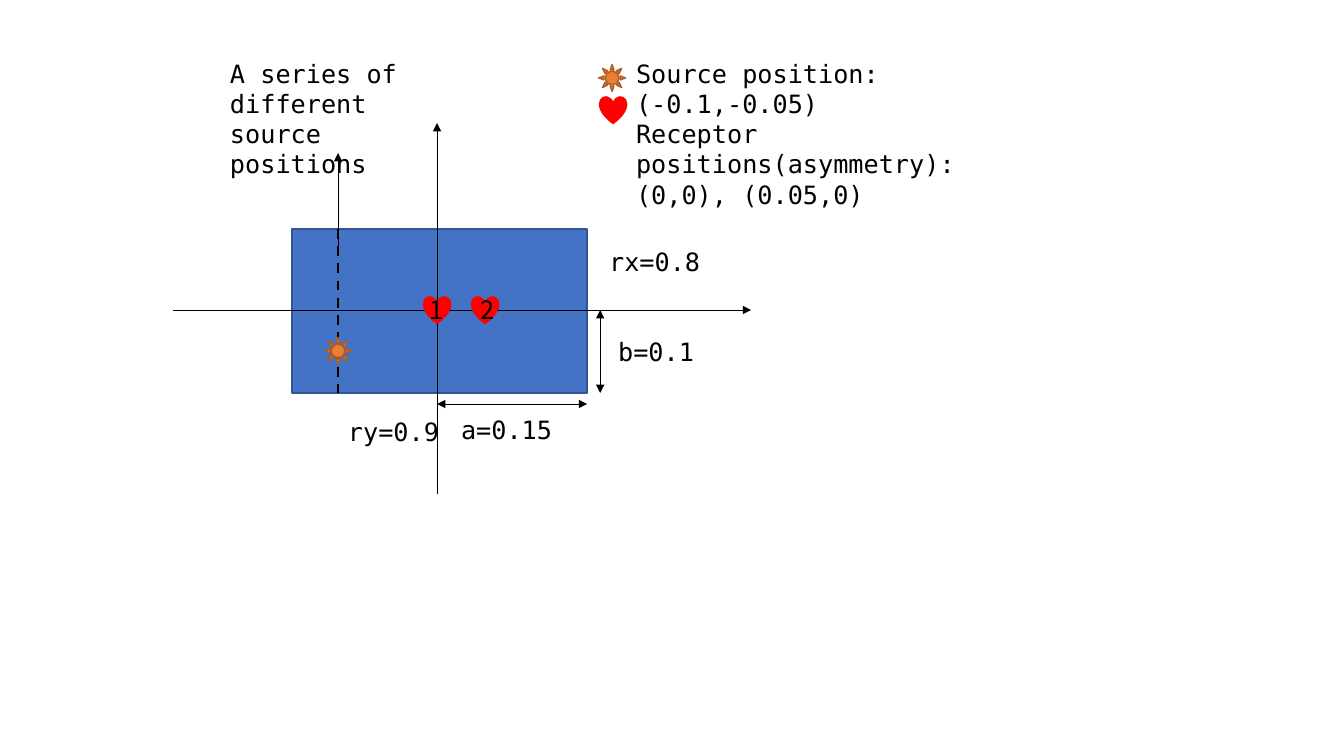
import pptx
import pptx.util
import pptx.dml.color
import pptx.enum.dml
import pptx.enum.shapes
import pptx.enum.text
import pptx.oxml.ns
import lxml.etree

PIXEL = 914400 / 100.8
COLORS = {"field": "4472C4", "field edge": "325491", "heart": "FF0000",
          "sun": "ED7D31", "sun edge": "AF5C24", "ink": "000000"}
MONO, CJK = "DejaVu Sans Mono", "Noto Sans CJK SC"
SHAPES = pptx.enum.shapes.MSO_SHAPE
MARKER = 27

# Field geometry: left, top, width, height, and the axes through its middle
FIELD = (292, 229, 295, 164)
RIGHT, BOTTOM = FIELD[0] + FIELD[2], FIELD[1] + FIELD[3]
AXIS_X, AXIS_Y = 437, 310
SOURCE_X = 338

# Lines: start, end, points wide, dashed, arrowhead ends
AXES = [
    ((173, AXIS_Y), (751, AXIS_Y), 0.5, False, ["tailEnd"]),
    ((AXIS_X, 494), (AXIS_X, 123), 0.5, False, ["tailEnd"]),
]
MEASURES = [
    ((AXIS_X, 404), (RIGHT, 404), 0.5, False, ["headEnd", "tailEnd"]),
    ((600, AXIS_Y), (600, BOTTOM), 0.5, False, ["headEnd", "tailEnd"]),
]
SOURCE_LINES = [
    ((SOURCE_X, 246), (SOURCE_X, 153), 0.5, False, ["tailEnd"]),
    ((SOURCE_X, FIELD[1]), (SOURCE_X, BOTTOM), 1.75, True, []),
]

# Marker centres
RECEPTORS = [(AXIS_X, AXIS_Y), (485, AXIS_Y)]
LEGEND_HEART, LEGEND_SUN = (613, 110), (612, 78)
SOURCE = (SOURCE_X, 351)

# Texts: left, top, width, height, font, paragraphs
TEXTS = [
    (451, 409, 136, 40, MONO, ["a=0.15"]),
    (608, 331, 136, 40, MONO, ["b=0.1"]),
    (626, 53, 372, 102, MONO, ["Source position: (-0.1,-0.05)",
                               "Receptor positions(asymmetry): (0,0), (0.05,0)"]),
    (220, 53, 261, 72, MONO, ["A series of different source positions"]),
    (599, 241, 174, 40, MONO, ["rx=0.8"]),
    (338, 411, 132, 40, MONO, ["ry=0.9"]),
    (420, 289, 23, 48, CJK, ["1"]),
    (470, 289, 36, 40, CJK, ["2"]),
]

deck = pptx.Presentation()
deck.slide_width = pptx.util.Inches(13.33)
deck.slide_height = pptx.util.Inches(7.5)
page = deck.slides.add_slide(deck.slide_layouts[6])


def emu(*lengths):
    return [round(length * PIXEL) for length in lengths]


def color(name):
    return pptx.dml.color.RGBColor.from_string(COLORS[name])


def add_figure(kind, frame, fill, edge):
    figure = page.shapes.add_shape(kind, *emu(*frame))
    figure.shadow.inherit = False
    figure.fill.solid()
    figure.fill.fore_color.rgb = color(fill)
    figure.line.color.rgb = color(edge)
    figure.line.width = pptx.util.Pt(1)


def add_marker(kind, center, fill, edge):
    x, y = center
    add_figure(kind, (x - MARKER / 2, y - MARKER / 2, MARKER, MARKER), fill, edge)


def add_heart(center):
    add_marker(SHAPES.HEART, center, "heart", "heart")


def add_sun(center):
    add_marker(SHAPES.SUN, center, "sun", "sun edge")


def add_line(start, end, width, dashed, arrow_ends):
    line = page.shapes.add_connector(
        pptx.enum.shapes.MSO_CONNECTOR.STRAIGHT, *emu(*start, *end))
    line.line.color.rgb = color("ink")
    line.line.width = pptx.util.Pt(width)
    if dashed:
        line.line.dash_style = pptx.enum.dml.MSO_LINE.DASH
    outline = line.line._get_or_add_ln()
    for arrow_end in arrow_ends:
        lxml.etree.SubElement(outline, pptx.oxml.ns.qn("a:" + arrow_end), type="triangle")
    lxml.etree.SubElement(line._element.spPr, pptx.oxml.ns.qn("a:effectLst"))


def add_text(left, top, width, height, font, lines):
    box = page.shapes.add_textbox(*emu(left, top, width, height))
    frame = box.text_frame
    frame.word_wrap = True
    frame.vertical_anchor = pptx.enum.text.MSO_ANCHOR.TOP
    frame.text = "\n".join(lines)
    for para in frame.paragraphs:
        para.font.name = font
        para.font.size = pptx.util.Pt(18)
        para.font.color.rgb = color("ink")


# Field, axes and measures
add_figure(SHAPES.RECTANGLE, FIELD, "field", "field edge")
for line in AXES + MEASURES:
    add_line(*line)

# Receptors and legend
for center in RECEPTORS + [LEGEND_HEART]:
    add_heart(center)
add_sun(LEGEND_SUN)

# Texts
for text in TEXTS:
    add_text(*text)

# Line of source positions
for line in SOURCE_LINES:
    add_line(*line)
add_sun(SOURCE)

deck.save("out.pptx")
